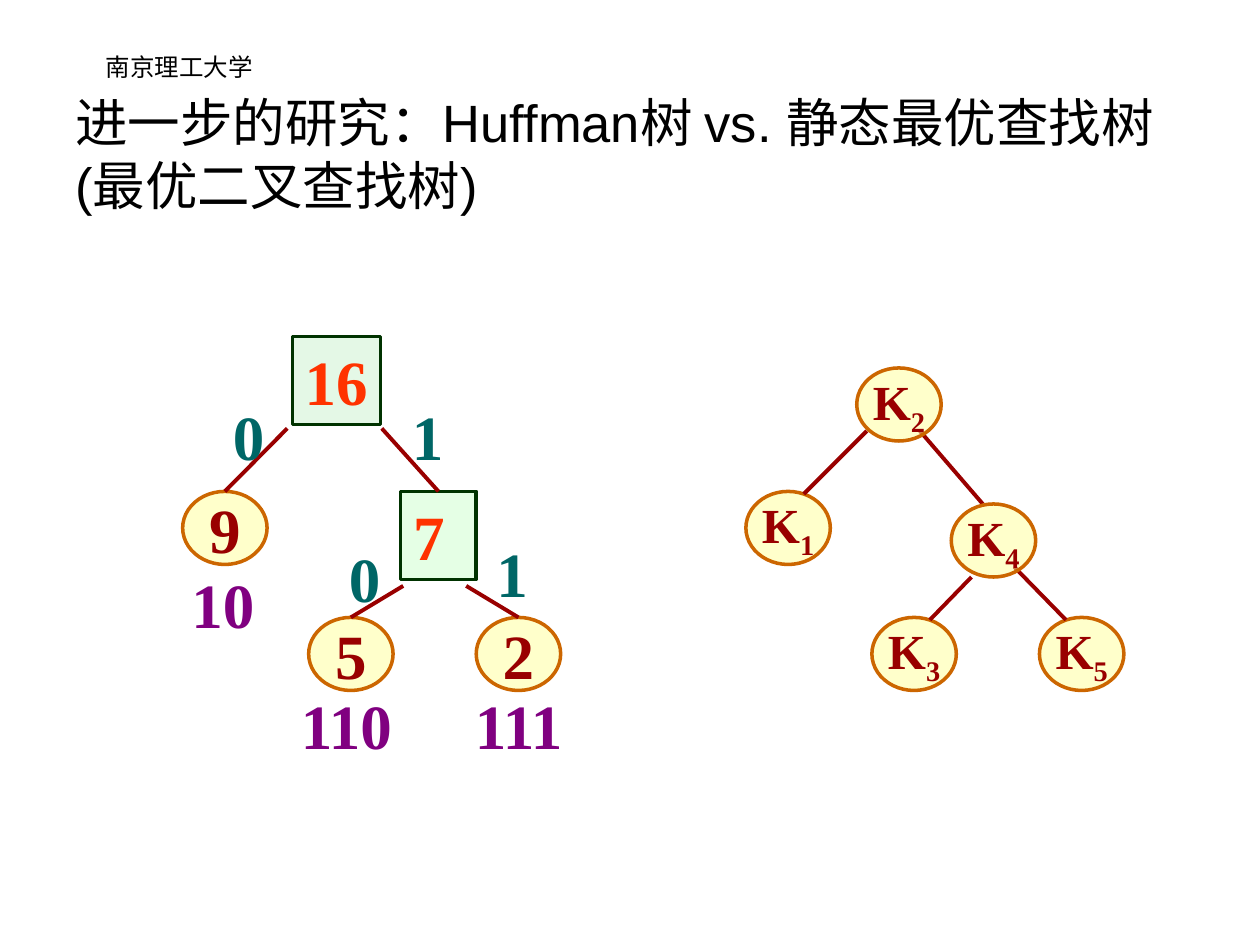
from dataclasses import dataclass

import pptx
import pptx.dml.color
import pptx.enum.shapes
import pptx.enum.text
import pptx.oxml
import pptx.oxml.ns
import pptx.util
from pptx.util import Inches

SHAPE = pptx.enum.shapes.MSO_SHAPE
ALIGN = pptx.enum.text.PP_ALIGN
ANCHOR = pptx.enum.text.MSO_ANCHOR
FIT = pptx.enum.text.MSO_AUTO_SIZE


@dataclass(frozen=True)
class Theme:
    sans: str = "Arial"
    serif: str = "Times New Roman"
    ink: str = "000000"
    node_fill: str = "FFFF99"
    node_line: str = "CC6600"
    node_text: str = "990000"
    edge: str = "990000"
    inner_fill: str = "CCFFCC"
    root_fill: str = "CAF2CE"
    inner_line: str = "003300"
    inner_text: str = "FF3300"
    bit: str = "006666"
    code: str = "800080"
    header_size: float = 14
    title_size: float = 30
    key_size: float = 28
    weight_size: float = 36
    outline: float = 2
    edge_width: float = 2.25


def rgb(value):
    return pptx.dml.color.RGBColor.from_string(value)


def set_alpha(fill_owner, percent):
    color = fill_owner._element.spPr.find(pptx.oxml.ns.qn("a:solidFill"))[0]
    alpha = pptx.oxml.parse_xml(
        f'<a:alpha {pptx.oxml.ns.nsdecls("a")} val="{percent * 1000}"/>')
    color.append(alpha)


def write(box, text, *, size, color, font, bold=False, subscript="",
          align=ALIGN.LEFT, anchor=ANCHOR.TOP, wrap=False, fit=FIT.NONE):
    frame = box.text_frame
    frame.word_wrap = wrap
    frame.auto_size = fit
    frame.vertical_anchor = anchor
    para = frame.paragraphs[0]
    para.alignment = align
    for part in filter(None, (text, subscript)):
        span = para.add_run()
        span.text = part
        span.font.name = font
        span.font.size = pptx.util.Pt(size)
        span.font.bold = bold
        span.font.color.rgb = rgb(color)
    if subscript:
        span.font._element.set("baseline", "-25000")


class Painter:
    NODE_SIZE = (0.67, 0.58)

    def __init__(self, page, theme):
        self.page = page
        self.theme = theme
        self.shapes = page.shapes

    def start_group(self):
        """Send the following elements to a new group."""
        self.shapes = self.page.shapes.add_group_shape().shapes

    def text(self, text, left, top, width, height, **style):
        box = self.shapes.add_textbox(*map(Inches, (left, top, width, height)))
        write(box, text, **style)

    def label(self, text, left, top, width, color):
        self.text(text, left, top, width, 0.7, size=self.theme.weight_size,
                  color=color, font=self.theme.serif, bold=True,
                  fit=FIT.SHAPE_TO_FIT_TEXT)

    def filled(self, preset, bounds, fill, line):
        shape = self.shapes.add_shape(preset, *map(Inches, bounds))
        shape.shadow.inherit = False
        shape.fill.solid()
        shape.fill.fore_color.rgb = rgb(fill)
        set_alpha(shape, 50)
        shape.line.color.rgb = rgb(line)
        shape.line.width = pptx.util.Pt(self.theme.outline)
        return shape

    def node(self, text, left, top, size, subscript=""):
        theme = self.theme
        shape = self.filled(SHAPE.OVAL, (left, top, *self.NODE_SIZE),
                            theme.node_fill, theme.node_line)
        write(shape, text, size=size, color=theme.node_text, font=theme.serif,
              bold=True, subscript=subscript, align=ALIGN.CENTER,
              anchor=ANCHOR.MIDDLE)
        return shape

    def key(self, number, left, top):
        return self.node("K", left, top, self.theme.key_size, number)

    def weight(self, text, left, top):
        return self.node(text, left, top, self.theme.weight_size)

    def square(self, text, left, top, width, fill, wrap):
        theme = self.theme
        shape = self.filled(SHAPE.RECTANGLE, (left, top, width, 0.7),
                            fill, theme.inner_line)
        write(shape, text, size=theme.weight_size, color=theme.inner_text,
              font=theme.serif, bold=True, wrap=wrap,
              fit=FIT.SHAPE_TO_FIT_TEXT)
        return shape

    def edge(self, start, end, child=None):
        """Draw a tree edge, joined to the top of child when one is given."""
        line = self.shapes.add_connector(
            pptx.enum.shapes.MSO_CONNECTOR.STRAIGHT,
            *map(Inches, (*start, *end)))
        line.line.color.rgb = rgb(self.theme.edge)
        line.line.width = pptx.util.Pt(self.theme.edge_width)
        line._element.spPr.append(pptx.oxml.parse_xml(
            f'<a:effectLst {pptx.oxml.ns.nsdecls("a")}/>'))
        if child is not None:
            line.end_connect(child, 0)


def draw_headings(painter):
    theme = painter.theme
    painter.text("南京理工大学", -0.16, 0.36, 3.17, 0.52,
                 size=theme.header_size, color=theme.ink, font=theme.sans,
                 align=ALIGN.CENTER, wrap=True)
    painter.text("进一步的研究：Huffman树 vs. 静态最优查找树(最优二叉查找树)",
                 0.5, 0.59, 9, 1.25, size=theme.title_size, color=theme.ink,
                 font=theme.sans, anchor=ANCHOR.MIDDLE, wrap=True)


def draw_huffman_tree(painter):
    theme = painter.theme
    painter.start_group()
    nine = painter.weight("9", 1.45, 3.9)
    five = painter.weight("5", 2.45, 4.9)
    two = painter.weight("2", 3.78, 4.9)
    seven = painter.square("7", 3.18, 3.9, 0.6, theme.inner_fill, True)
    painter.square("16", 2.32, 2.67, 0.7, theme.root_fill, False)
    for start, end, child in (((3.2, 4.65), (2.78, 4.9), five),
                              ((3.7, 4.65), (4.12, 4.9), two),
                              ((2.28, 3.4), (1.78, 3.9), nine),
                              ((3.03, 3.4), (3.45, 3.9), seven)):
        painter.edge(start, end, child)
    for bit, left, top in (("0", 1.75, 3.11), ("0", 2.67, 4.23),
                           ("1", 3.17, 3.11), ("1", 3.84, 4.19)):
        painter.label(bit, left, top, 0.45, theme.bit)
    for code, left, top, width in (("10", 1.42, 4.44, 0.7),
                                   ("110", 2.29, 5.4, 0.95),
                                   ("111", 3.67, 5.4, 0.95)):
        painter.label(code, left, top, width, theme.code)


def draw_search_tree(painter):
    painter.start_group()
    for number, left, top in (("1", 5.92, 3.9), ("3", 6.92, 4.9),
                              ("5", 8.25, 4.9)):
        painter.key(number, left, top)
    for start, end in (((7.71, 4.58), (7.38, 4.92)),
                       ((8.05, 4.5), (8.46, 4.92)),
                       ((6.88, 3.42), (6.38, 3.92)),
                       ((7.3, 3.42), (7.8, 4))):
        painter.edge(start, end)
    for number, left, top in (("2", 6.8, 2.92), ("4", 7.55, 4)):
        painter.key(number, left, top)


def main():
    deck = pptx.Presentation()
    deck.slide_width, deck.slide_height = Inches(10), Inches(7.5)
    painter = Painter(deck.slides.add_slide(deck.slide_layouts[6]), Theme())
    draw_headings(painter)
    draw_huffman_tree(painter)
    draw_search_tree(painter)
    deck.save("out.pptx")


if __name__ == "__main__":
    main()
